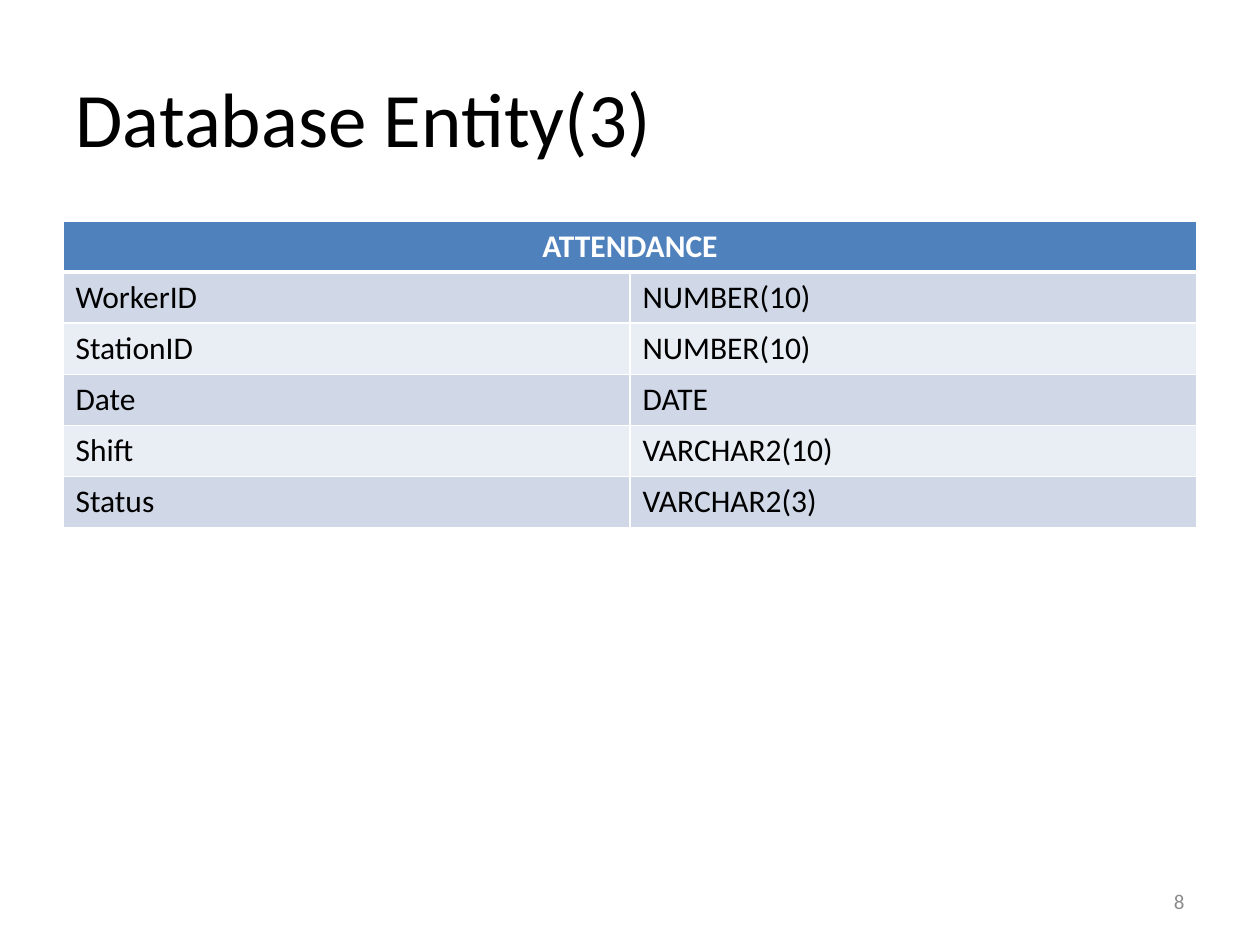
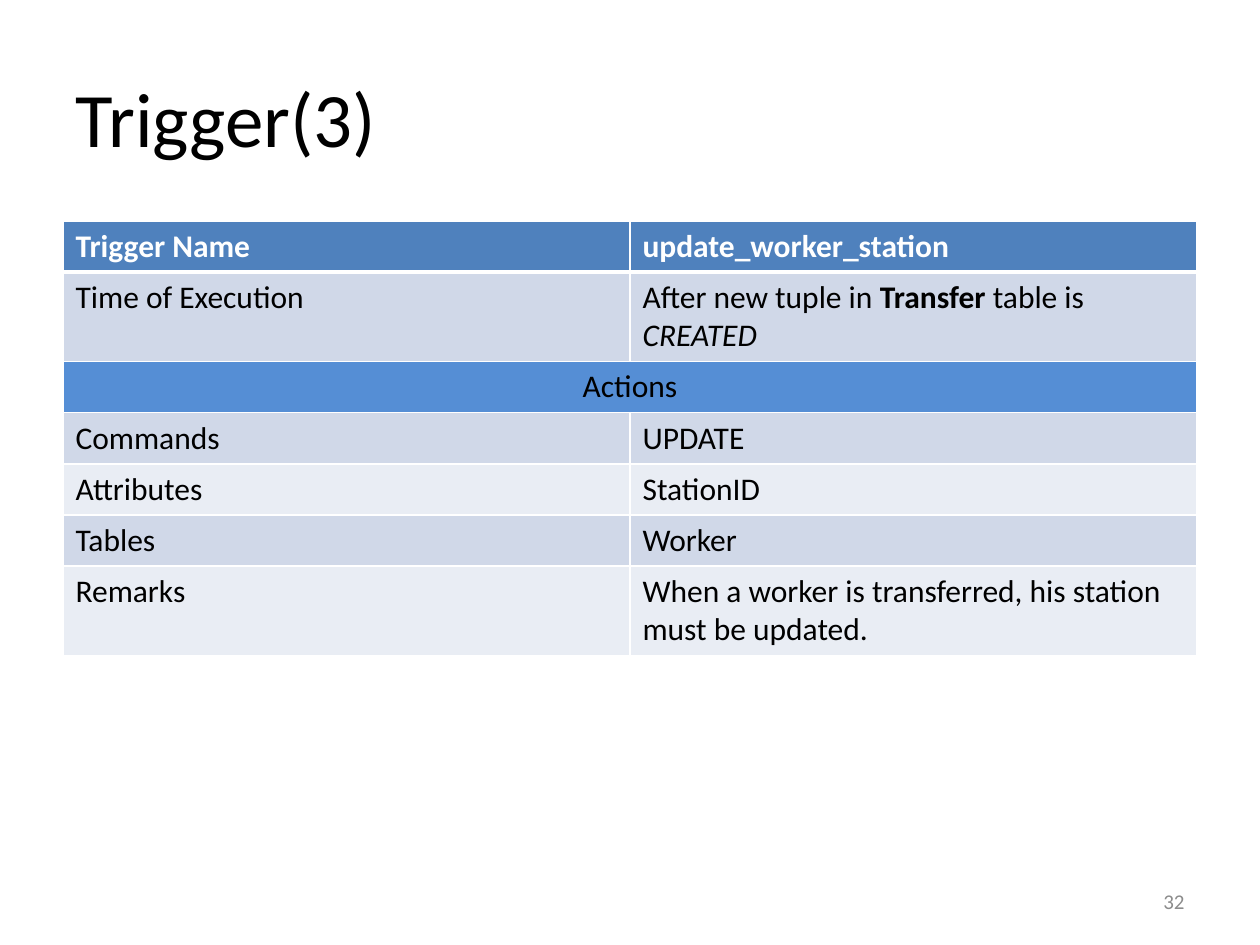
import pptx
import pptx.dml.color
import pptx.enum.text
import pptx.oxml
import pptx.oxml.ns
import pptx.util
from lxml import etree

PX = 914400 / 126
COLORS = {
    "text": "000000",
    "white": "FFFFFF",
    "header": "4F81BD",
    "section": "558ED5",
    "band_dark": "D0D8E8",
    "band_light": "E9EDF4",
    "page_number": "8C8C8C",
}
FONT = "Calibri"
LEFT, WIDTH = 63, 1134
ROW_HEIGHT, TWO_LINE_HEIGHT = 51, 88
ALIGN = pptx.enum.text.PP_ALIGN
MIDDLE = pptx.enum.text.MSO_ANCHOR.MIDDLE


def box(left, top, width, height):
    return [round(length * PX) for length in (left, top, width, height)]


def style(paragraph, size, color, align=ALIGN.LEFT, bold=False):
    paragraph.alignment = align
    paragraph.font.name = FONT
    paragraph.font.size = pptx.util.Pt(size)
    paragraph.font.bold = bold
    paragraph.font.color.rgb = pptx.dml.color.RGBColor.from_string(COLORS[color])


# Content: a row with one entry spans both columns;
# a cell given as a list holds (text, bold, italic) runs
pages = [
    {
        "title": "Database Entity(3)",
        "number": "8",
        "rows": [
            ("ATTENDANCE",),
            ("WorkerID", "NUMBER(10)"),
            ("StationID", "NUMBER(10)"),
            ("Date", "DATE"),
            ("Shift", "VARCHAR2(10)"),
            ("Status", "VARCHAR2(3)"),
        ],
        "two_line_rows": (),
    },
    {
        "title": "Trigger(3)",
        "number": "32",
        "rows": [
            ("Trigger Name", "update_worker_station"),
            ("Time of Execution", [
                ("After new tuple in ", False, False),
                ("Transfer ", True, False),
                ("table is ", False, False),
                ("CREATED", False, True),
            ]),
            ("Actions",),
            ("Commands", "UPDATE"),
            ("Attributes", "StationID"),
            ("Tables", "Worker"),
            ("Remarks", "When a worker is transferred, his station must be updated."),
        ],
        "two_line_rows": (1, 6),
    },
]

deck = pptx.Presentation()
deck.slide_width = pptx.util.Inches(10)
deck.slide_height = pptx.util.Inches(7.5)

for page in pages:
    slide = deck.slides.add_slide(deck.slide_layouts[5])

    # Title
    title = slide.shapes.title
    title.left, title.top, title.width, title.height = box(LEFT, 38, WIDTH, 158)
    title.text_frame.text = page["title"]
    title.text_frame.vertical_anchor = MIDDLE
    style(title.text_frame.paragraphs[0], 44, "text")

    # Table
    rows = page["rows"]
    heights = [TWO_LINE_HEIGHT if i in page["two_line_rows"] else ROW_HEIGHT
               for i in range(len(rows))]
    table = slide.shapes.add_table(
        len(rows), 2, *box(LEFT, 221, WIDTH, sum(heights))).table

    for row_index, entries in enumerate(rows):
        table.rows[row_index].height = round(heights[row_index] * PX)
        is_header = row_index == 0
        spans = len(entries) == 1
        if is_header:
            fill = "header"
        elif spans:
            fill = "section"
        else:
            fill = "band_dark" if row_index % 2 else "band_light"

        for column in range(2):
            cell = table.cell(row_index, column)
            cell.fill.solid()
            cell.fill.fore_color.rgb = pptx.dml.color.RGBColor.from_string(COLORS[fill])

            # White rules, thicker below the header
            widths = {"lnL": 1, "lnR": 1,
                      "lnT": 3 if row_index == 1 else 1,
                      "lnB": 3 if is_header else 1}
            for position, (edge, points) in enumerate(widths.items()):
                line = pptx.oxml.parse_xml(
                    f'<a:{edge} {pptx.oxml.ns.nsdecls("a")} w="{pptx.util.Pt(points)}">'
                    f'<a:solidFill><a:srgbClr val="{COLORS["white"]}"/></a:solidFill>'
                    f'</a:{edge}>')
                cell._tc.get_or_add_tcPr().insert(position, line)

        if spans:
            table.cell(row_index, 0).merge(table.cell(row_index, 1))

        for column, entry in enumerate(entries):
            paragraph = table.cell(row_index, column).text_frame.paragraphs[0]
            runs = [(entry, None, None)] if isinstance(entry, str) else entry
            for text, bold, italic in runs:
                run = paragraph.add_run()
                run.text = text
                run.font.bold = bold
                run.font.italic = italic
            style(paragraph, 18, "white" if is_header else "text",
                  ALIGN.CENTER if spans else ALIGN.LEFT, is_header)

    # Page number
    number = slide.shapes.add_textbox(*box(903, 876, 294, 50)).text_frame
    number.word_wrap = True
    number.vertical_anchor = MIDDLE
    number.text = page["number"]
    style(number.paragraphs[0], 12, "page_number", ALIGN.RIGHT)

deck.save("out.pptx")
